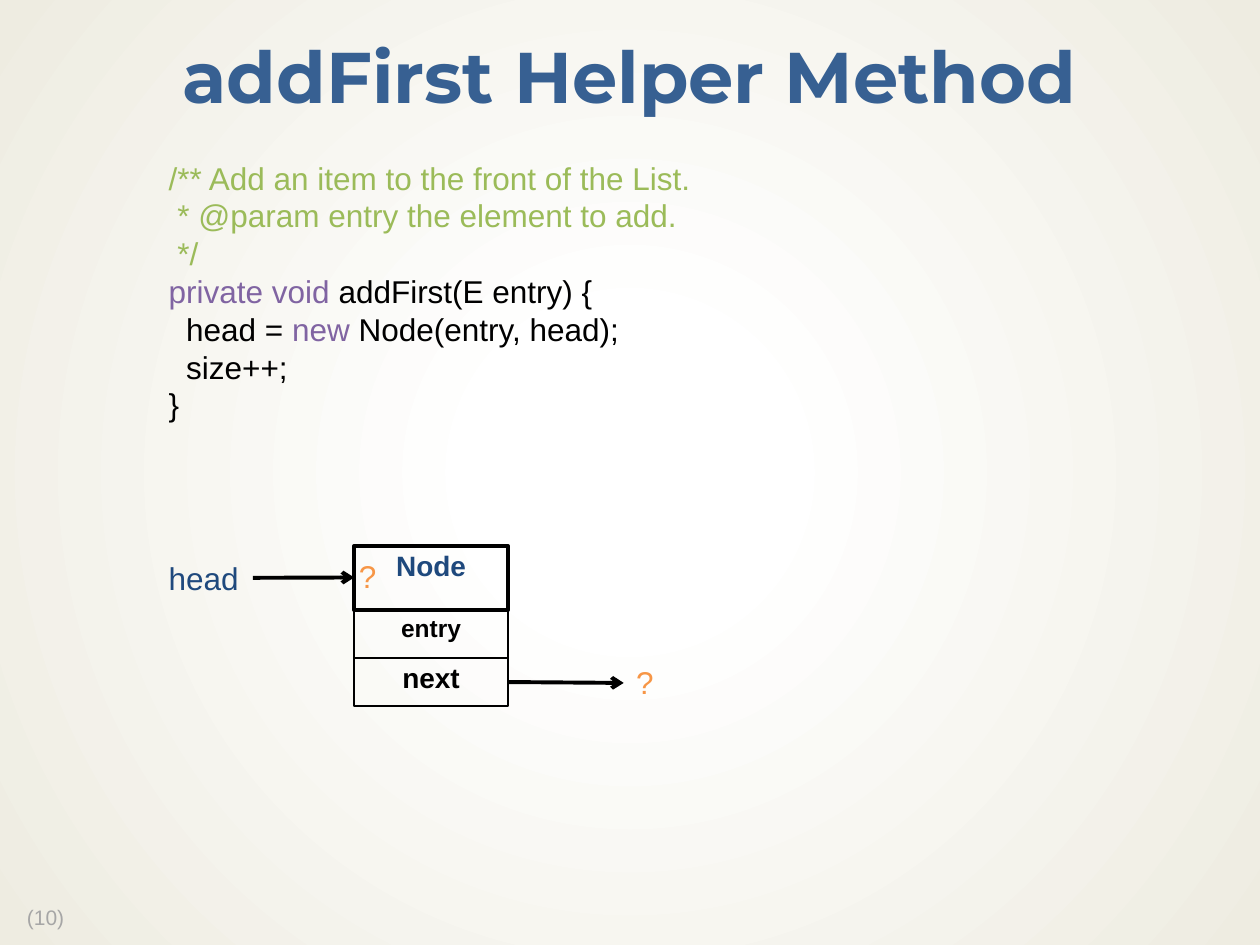
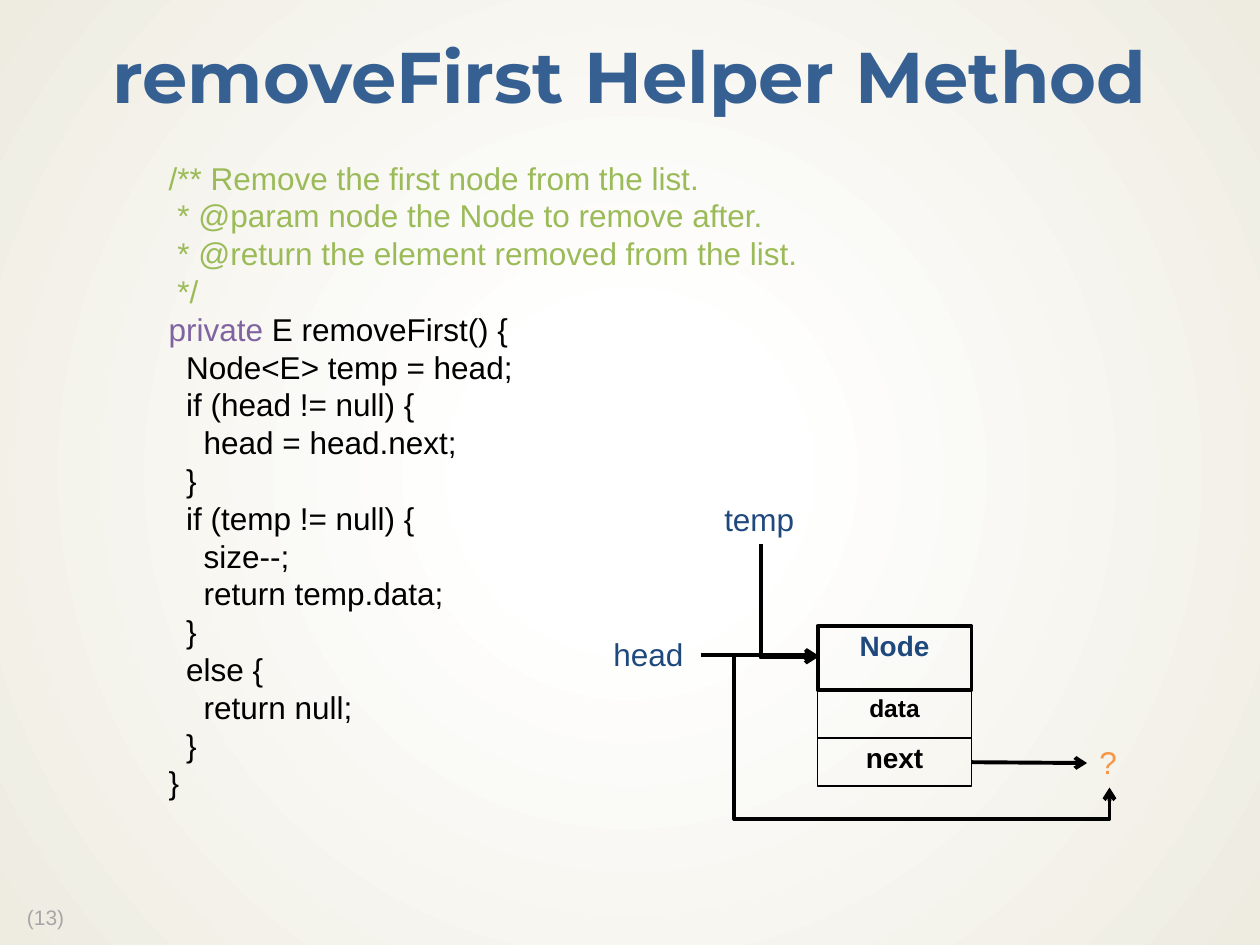
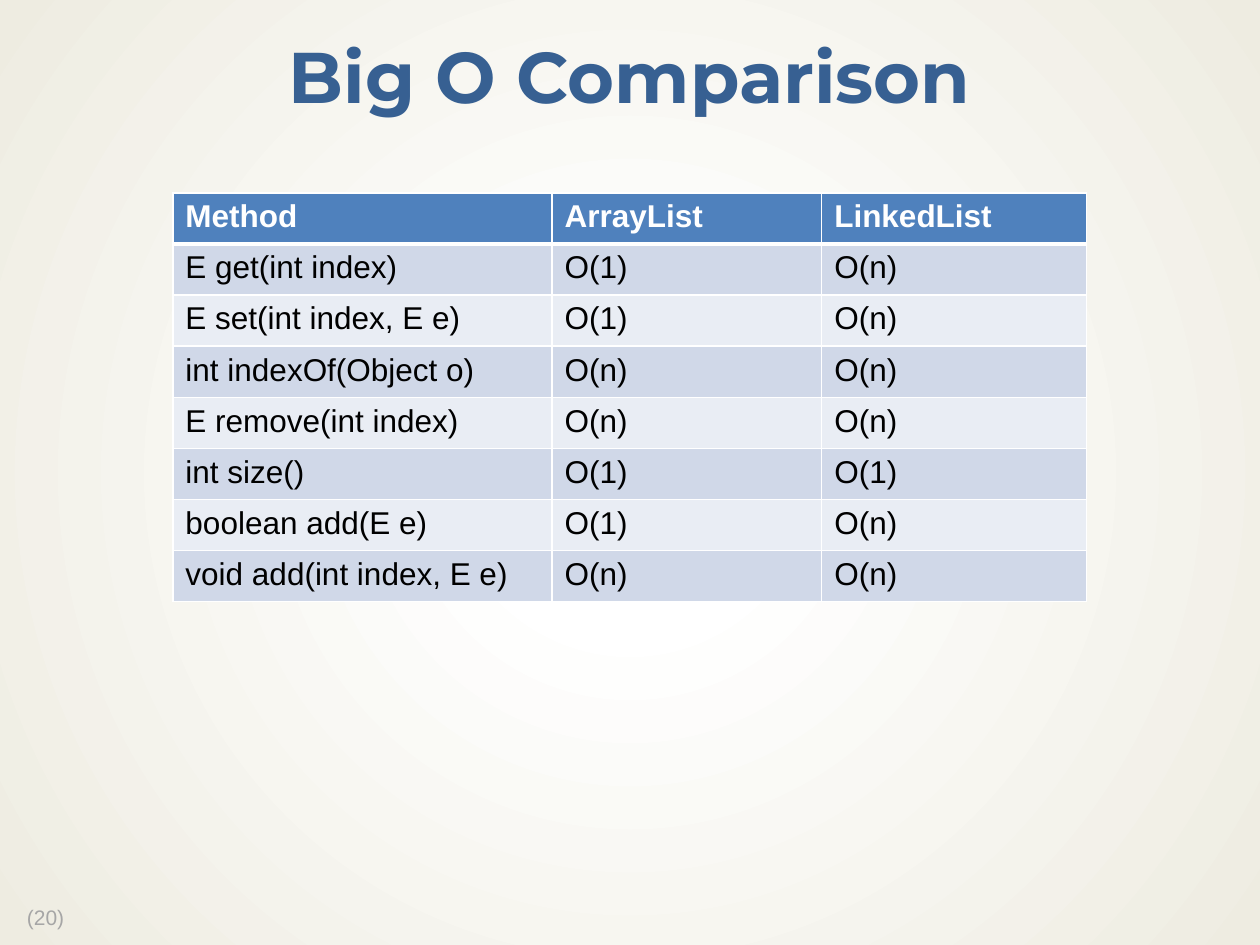
from lxml import etree
from pptx import Presentation
from pptx.dml.color import RGBColor
from pptx.enum.shapes import MSO_CONNECTOR, MSO_SHAPE
from pptx.enum.text import MSO_ANCHOR, MSO_AUTO_SIZE, PP_ALIGN
from pptx.oxml.ns import qn
from pptx.util import Pt

STRAIGHT, ELBOW = MSO_CONNECTOR.STRAIGHT, MSO_CONNECTOR.ELBOW
RECTANGLE = MSO_SHAPE.RECTANGLE
TOP, MIDDLE = MSO_ANCHOR.TOP, MSO_ANCHOR.MIDDLE
FIT_SHAPE, NO_FIT = MSO_AUTO_SIZE.SHAPE_TO_FIT_TEXT, MSO_AUTO_SIZE.NONE
CENTER = PP_ALIGN.CENTER

BODY_FONT, TITLE_FONT = "Arial", "Montserrat"
BLACK, WHITE, IVORY = "000000", "FFFFFF", "EEECE1"
TITLE_BLUE, LABEL_BLUE, HEADER_BLUE = "376092", "1F497D", "4F81BD"
COMMENT, KEYWORD, UNKNOWN = "9BBB59", "8064A2", "F79646"
PAGE_GRAY = "A6A6A6"
BANDS = ("D0D8E8", "E9EDF4")

LINE_HEIGHT = 21.6
INDENT = 10
LABEL_HEIGHT = 28.8
HEAVY, THIN = 2.25, 1
NODE_WIDTH, NODE_HEAD, NODE_FIELD = 88, 36.5, 27.5
NEXT_LENGTH = 66

# Each code line: indent level, then its (text, colour) runs.
ADD_FIRST = [
    (0, [("/** Add an item to the front of the List.", COMMENT)]),
    (0, [(" * @param entry the element to add.", COMMENT)]),
    (0, [(" */", COMMENT)]),
    (0, [("private void ", KEYWORD), ("addFirst(E entry) {", BLACK)]),
    (1, [("head = ", BLACK), ("new", KEYWORD), (" Node(entry, head);", BLACK)]),
    (1, [("size++;", BLACK)]),
    (0, [("}", BLACK)]),
]
REMOVE_FIRST = [
    (0, [("/** Remove the first node from the list.", COMMENT)]),
    (0, [(" * @param node the Node to remove after.", COMMENT)]),
    (0, [(" * @return the element removed from the list.", COMMENT)]),
    (0, [(" */", COMMENT)]),
    (0, [("private ", KEYWORD), ("E removeFirst() {", BLACK)]),
    (1, [("Node<E> temp = head;", BLACK)]),
    (1, [("if (head != null) {", BLACK)]),
    (2, [("head = head.next;", BLACK)]),
    (1, [("}", BLACK)]),
    (1, [("if (temp != null) {", BLACK)]),
    (2, [("size--;", BLACK)]),
    (2, [("return temp.data;", BLACK)]),
    (1, [("}", BLACK)]),
    (1, [("else {", BLACK)]),
    (2, [("return null;", BLACK)]),
    (1, [("}", BLACK)]),
    (0, [("}", BLACK)]),
]
COMPARISON = [
    ("Method", "ArrayList", "LinkedList"),
    ("E get(int index)", "O(1)", "O(n)"),
    ("E set(int index, E e)", "O(1)", "O(n)"),
    ("int indexOf(Object o)", "O(n)", "O(n)"),
    ("E remove(int index)", "O(n)", "O(n)"),
    ("int size()", "O(1)", "O(1)"),
    ("boolean add(E e)", "O(1)", "O(n)"),
    ("void add(int index, E e)", "O(n)", "O(n)"),
]
COLUMN_WIDTHS = (216.7, 154.1, 151.2)
ROW_HEIGHT = 29.2


def rgb(value):
    """Turn a hex string into a colour."""
    return RGBColor.from_string(value)


def add_run(paragraph, text, size, color, bold=False, font=BODY_FONT):
    """Append one formatted run."""
    run = paragraph.add_run()
    run.text = text
    run.font.name = font
    run.font.size = Pt(size)
    run.font.bold = bold
    run.font.color.rgb = rgb(color)


def set_background(master):
    """Give the master a radial gradient from translucent white to ivory."""
    fill = master.background.fill
    fill.gradient()
    for stop, position, color in zip(fill.gradient_stops, (0.18, 1), (WHITE, IVORY)):
        stop.position = position
        stop.color.rgb = rgb(color)
    gradient = master.element.find(".//" + qn("a:gradFill"))
    center_color = gradient.find(".//" + qn("a:srgbClr"))
    etree.SubElement(center_color, qn("a:alpha"), val="53000")
    gradient.remove(gradient.find(qn("a:lin")))
    circle = etree.SubElement(gradient, qn("a:path"), path="circle")
    etree.SubElement(circle, qn("a:fillToRect"),
                     {side: "50000" for side in "ltrb"})


def add_text_box(slide, left, top, width, height):
    """Add an unwrapped text box and return its text frame."""
    frame = slide.shapes.add_textbox(Pt(left), Pt(top), Pt(width), Pt(height)).text_frame
    frame.word_wrap = False
    frame.auto_size = FIT_SHAPE
    return frame


def add_slide(prs, title, page):
    """Add a slide with its title and page number."""
    slide = prs.slides.add_slide(prs.slide_layouts[5])
    heading = slide.shapes.title
    heading.left, heading.top = Pt(0), Pt(12)
    heading.width, heading.height = Pt(720), Pt(68)
    frame = heading.text_frame
    frame.margin_left = frame.margin_right = Pt(9)
    frame.margin_top = frame.margin_bottom = Pt(4.5)
    frame.vertical_anchor = MIDDLE
    frame.word_wrap = True
    frame.auto_size = NO_FIT
    paragraph = frame.paragraphs[0]
    paragraph.alignment = CENTER
    paragraph.line_spacing = 0.9
    add_run(paragraph, title, 41, TITLE_BLUE, True, TITLE_FONT)

    number = add_text_box(slide, 5, 514.8, 40.3, 20.2).paragraphs[0]
    number.line_spacing = 0.9
    add_run(number, f" ({page})", 12, PAGE_GRAY)
    return slide


def add_code(slide, lines, width):
    """Write a code listing, one paragraph a line."""
    frame = add_text_box(slide, 89.3, 87.1, width, len(lines) * LINE_HEIGHT + 7.2)
    for index, (level, runs) in enumerate(lines):
        paragraph = frame.add_paragraph() if index else frame.paragraphs[0]
        paragraph.line_spacing = Pt(LINE_HEIGHT)
        if level:
            paragraph._p.get_or_add_pPr().set("marL", str(Pt(level * INDENT)))
        for text, color in runs:
            add_run(paragraph, text, 18, color)


def add_label(slide, text, left, top, width=54.7, color=LABEL_BLUE):
    """Name a reference in the diagram."""
    paragraph = add_text_box(slide, left, top, width, LABEL_HEIGHT).paragraphs[0]
    paragraph.line_spacing = Pt(LINE_HEIGHT)
    add_run(paragraph, text, 18, color)


def add_unknown(slide, left, top):
    """Mark an unknown target with a question mark."""
    add_label(slide, "?", left, top, 24.5, UNKNOWN)


def add_arrow(slide, x1, y1, x2, y2, kind=STRAIGHT):
    """Draw a heavy black arrow and return its shape properties."""
    arrow = slide.shapes.add_connector(kind, Pt(x1), Pt(y1), Pt(x2), Pt(y2))
    arrow.line.color.rgb = rgb(BLACK)
    arrow.line.width = Pt(HEAVY)
    properties = arrow._element.spPr
    etree.SubElement(properties.find(qn("a:ln")), qn("a:tailEnd"), type="arrow")
    etree.SubElement(properties, qn("a:effectLst"))
    return properties


def add_bent_arrow(slide, x1, y1, x2, y2, preset, adjustments=(), **turn):
    """Draw an elbow arrow of the given preset, optionally turned or flipped."""
    properties = add_arrow(slide, x1, y1, x2, y2, ELBOW)
    geometry = properties.find(qn("a:prstGeom"))
    geometry.set("prst", preset)
    guides = geometry.find(qn("a:avLst"))
    for index, value in enumerate(adjustments, 1):
        etree.SubElement(guides, qn("a:gd"), name=f"adj{index}", fmla=f"val {value}")
    for name, value in turn.items():
        properties.find(qn("a:xfrm")).set(name, value)


def add_node(slide, left, top, field):
    """Draw a list node whose next reference leads to an unknown target."""
    rows = [("Node", NODE_HEAD, HEAVY, 16, LABEL_BLUE),
            (field, NODE_FIELD, THIN, 14, BLACK),
            ("next", NODE_FIELD, THIN, 16, BLACK)]
    for text, height, weight, size, color in rows:
        part = slide.shapes.add_shape(RECTANGLE, Pt(left), Pt(top), Pt(NODE_WIDTH), Pt(height))
        part.shadow.inherit = False
        part.fill.background()
        part.line.color.rgb = rgb(BLACK)
        part.line.width = Pt(weight)
        part.text_frame.vertical_anchor = TOP
        paragraph = part.text_frame.paragraphs[0]
        paragraph.alignment = CENTER
        paragraph.line_spacing = 0.9
        add_run(paragraph, text, size, color, True)
        top += height
    right, middle = left + NODE_WIDTH, top - NODE_FIELD / 2
    add_arrow(slide, right, middle, right + NEXT_LENGTH, middle + 0.5)
    add_unknown(slide, right + NEXT_LENGTH, middle - LABEL_HEIGHT / 2)


def set_borders(cell, top, bottom):
    """Give a cell white borders; the widths of top and bottom vary."""
    properties = cell._tc.get_or_add_tcPr()
    for side, weight in (("L", 1), ("R", 1), ("T", top), ("B", bottom)):
        border = etree.SubElement(properties, qn(f"a:ln{side}"), w=str(Pt(weight)))
        fill = etree.SubElement(border, qn("a:solidFill"))
        etree.SubElement(fill, qn("a:srgbClr"), val=WHITE)


def add_comparison(slide):
    """Add the table of running times."""
    table = slide.shapes.add_table(
        len(COMPARISON), len(COLUMN_WIDTHS), Pt(98.8), Pt(110.2),
        Pt(sum(COLUMN_WIDTHS)), Pt(ROW_HEIGHT * len(COMPARISON))).table
    for column, width in zip(table.columns, COLUMN_WIDTHS):
        column.width = Pt(width)
    for r, texts in enumerate(COMPARISON):
        table.rows[r].height = Pt(ROW_HEIGHT)
        header = r == 0
        for c, text in enumerate(texts):
            cell = table.cell(r, c)
            set_borders(cell, 3 if r == 1 else 1, 3 if header else 1)
            cell.fill.solid()
            cell.fill.fore_color.rgb = rgb(HEADER_BLUE if header else BANDS[(r - 1) % 2])
            add_run(cell.text_frame.paragraphs[0], text, 18,
                    WHITE if header else BLACK, header)


def main():
    """Build the three slides."""
    prs = Presentation()
    prs.slide_width, prs.slide_height = Pt(720), Pt(540)
    set_background(prs.slide_master)

    adding = add_slide(prs, "addFirst Helper Method", 10)
    add_code(adding, ADD_FIRST, 315.4)
    add_label(adding, "head", 89.3, 315.7)
    add_arrow(adding, 144.5, 330.2, 202.4, 330)
    add_unknown(adding, 198, 315)
    add_node(adding, 202.4, 312, "entry")

    removing = add_slide(prs, "removeFirst Helper Method", 13)
    add_code(removing, REMOVE_FIRST, 377.3)
    add_arrow(removing, 400.5, 374.3, 467.2, 374.3)
    add_node(removing, 467.2, 357.8, "data")
    add_label(removing, "temp", 406.8, 282.2)
    add_bent_arrow(removing, 418.6, 327.2, 483.2, 359.6, "bentConnector2",
                   rot="16200000", flipH="1")
    add_bent_arrow(removing, 400.5, 374.3, 634, 450, "bentConnector4", (8200, 123800))
    add_label(removing, "head", 343.4, 359.3)

    add_comparison(add_slide(prs, "Big O Comparison", 20))
    prs.save("out.pptx")


main()
